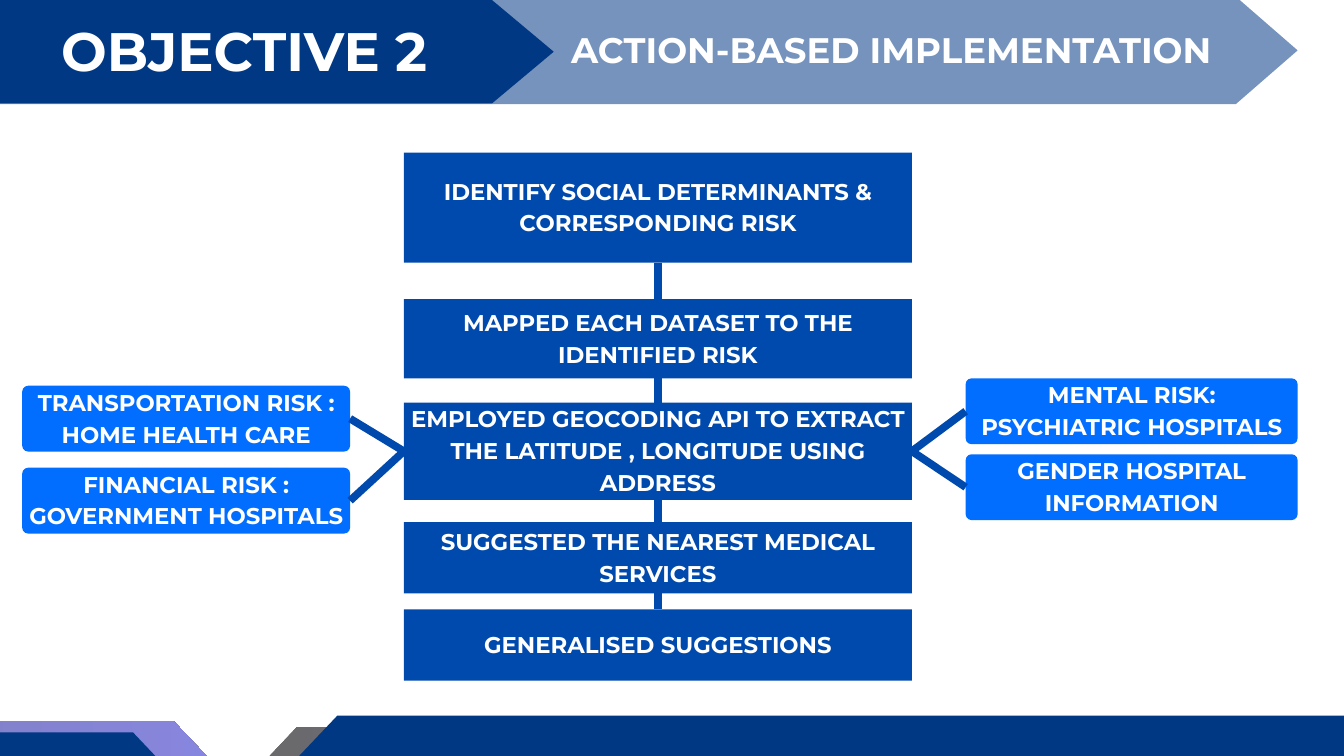
from pptx import Presentation
from pptx.dml.color import RGBColor
from pptx.enum.shapes import MSO_CONNECTOR as Link, MSO_SHAPE as Preset
from pptx.enum.text import MSO_ANCHOR as Anchor, MSO_AUTO_SIZE as AutoSize, PP_ALIGN as Align
from pptx.oxml.ns import qn
from pptx.oxml.xmlchemy import OxmlElement
from pptx.util import Inches, Pt

COLORS = {
    "navy": "003884",
    "step": "004AAD",
    "card": "026EFF",
    "black": "000000",
    "violet": "3533CD",
    "white": "FFFFFF",
}
FONT = "Montserrat"


def color(name):
    return RGBColor.from_string(COLORS[name])


def write(shape, text, size=24.4, spacing=34.2, align=Align.CENTER,
          anchor=Anchor.MIDDLE, inset=0.01, bottom=0.1):
    frame = shape.text_frame
    frame.word_wrap = True
    frame.auto_size = AutoSize.NONE
    frame.vertical_anchor = anchor
    frame.margin_left = frame.margin_right = frame.margin_top = Inches(inset)
    frame.margin_bottom = Inches(bottom)
    frame.text = text
    for para in frame.paragraphs:
        para.alignment = align
        para.line_spacing = Pt(spacing)
        para.space_before = Pt(0)
        for span in para.runs:
            span.font.name = FONT
            span.font.size = Pt(size)
            span.font.bold = True
            span.font.color.rgb = color("white")


deck = Presentation()
deck.slide_width = Inches(20)
deck.slide_height = Inches(11.25)
page = deck.slides.add_slide(deck.slide_layouts[5])
shapes = page.shapes

TIP = 0.92
arrows = [
    (23.3, 3.5, 10.82, 1.94, ("black", "violet"), 58),
    (22.7, 4.1, 10.65, 1.94, ("navy",), 100),
    (-16.31, 3.5, 10.73, 1.94, ("black", "violet"), 58),
    (-15.71, 2.9, 10.9, 1.94, ("navy",), 100),
    (-0.8, 19.31, -0.05, 1.6, ("navy",), 54),
    (-0.51, 8.24, 0, 1.54, ("navy",), 100),
]
for tail, point, top, height, fills, opacity in arrows:
    shoulder = point - TIP if point > tail else point + TIP
    corners = [(tail, top), (tail, top + height), (shoulder, top + height),
               (point, top + height / 2)]
    outline = shapes.build_freeform(Inches(shoulder), Inches(top))
    outline.add_line_segments([(Inches(x), Inches(y)) for x, y in corners])
    arrow = outline.convert_to_shape()
    arrow.shadow.inherit = False
    arrow.line.fill.background()
    if len(fills) == 2:
        arrow.fill.gradient()
        arrow.fill.gradient_angle = 0
        for stop, name in zip(arrow.fill.gradient_stops, fills):
            stop.color.rgb = color(name)
    else:
        arrow.fill.solid()
        arrow.fill.fore_color.rgb = color(fills[0])
    if opacity < 100:
        for tint in arrow.element.iter(qn("a:srgbClr")):
            alpha = OxmlElement("a:alpha")
            alpha.set("val", str(opacity * 1000))
            tint.append(alpha)

title = shapes.title
title.left, title.top, title.width, title.height = map(Inches, (0.91, 0.18, 5.59, 1.02))
write(title, "OBJECTIVE 2", size=58, spacing=75.4, align=Align.LEFT,
      anchor=Anchor.TOP, inset=0, bottom=0)
title.element.getparent().append(title.element)

subtitle = shapes.add_textbox(Inches(8.38), Inches(0.37), Inches(9.77), Inches(0.67))
write(subtitle, "ACTION-BASED IMPLEMENTATION", size=38, spacing=49.4,
      anchor=Anchor.TOP, inset=0, bottom=0)

step, card = Preset.RECTANGLE, Preset.ROUNDED_RECTANGLE
boxes = [
    (step, 6.01, 2.27, 7.56, 1.64, "IDENTIFY SOCIAL DETERMINANTS & CORRESPONDING RISK"),
    (step, 6.01, 4.45, 7.56, 1.18, "MAPPED EACH DATASET TO THE IDENTIFIED RISK"),
    (step, 6.01, 5.99, 7.56, 1.45,
     "EMPLOYED GEOCODING API TO EXTRACT THE LATITUDE , LONGITUDE USING ADDRESS"),
    (step, 6.01, 7.77, 7.56, 1.06, "SUGGESTED THE NEAREST MEDICAL SERVICES"),
    (step, 6.01, 9.07, 7.56, 1.06, "GENERALISED SUGGESTIONS"),
    (card, 14.37, 5.63, 4.94, 0.98, "MENTAL RISK:\nPSYCHIATRIC HOSPITALS"),
    (card, 14.37, 6.76, 4.94, 0.98, "GENDER HOSPITAL INFORMATION"),
    (card, 0.33, 6.96, 4.88, 0.98, "FINANCIAL RISK :\nGOVERNMENT HOSPITALS"),
    (card, 0.33, 5.74, 4.88, 0.98, "TRANSPORTATION RISK :\nHOME HEALTH CARE"),
]
drawn = []
for preset, left, top, width, height, text in boxes:
    box = shapes.add_shape(preset, Inches(left), Inches(top), Inches(width), Inches(height))
    box.shadow.inherit = False
    box.line.fill.background()
    box.fill.solid()
    box.fill.fore_color.rgb = color("step" if preset == step else "card")
    if preset == card:
        box.adjustments[0] = 0.09
    write(box, text)
    drawn.append(box)

steps, right_cards, left_cards = drawn[:5], drawn[5:7], drawn[7:]
geocoding = steps[2]
joins = [(upper, 2, lower, 0) for upper, lower in zip(steps, steps[1:])]
joins += [(geocoding, 3, target, 1) for target in right_cards]
joins += [(geocoding, 1, target, 3) for target in left_cards]
for source, source_side, target, target_side in joins:
    link = shapes.add_connector(Link.STRAIGHT, 0, 0, 0, 0)
    link.begin_connect(source, source_side)
    link.end_connect(target, target_side)
    link.line.color.rgb = color("step")
    link.line.width = Pt(8.25)
    link.element.spPr.append(OxmlElement("a:effectLst"))

deck.save("out.pptx")
